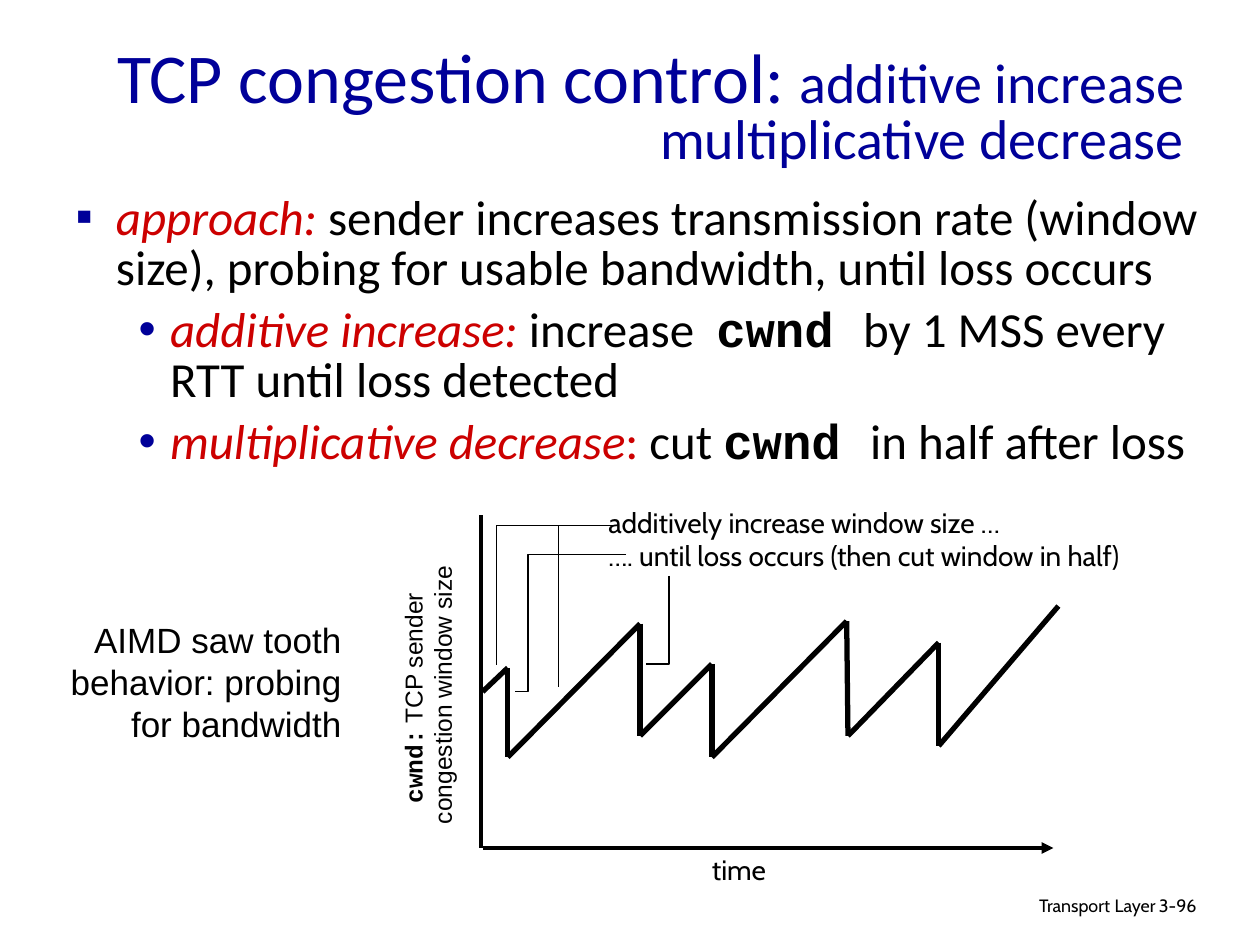
import pptx
import pptx.util
import pptx.dml.color
import pptx.enum.shapes
import pptx.enum.text
import lxml.etree
from dataclasses import dataclass
from pptx.oxml.ns import qn

Inches = pptx.util.Inches
Pt = pptx.util.Pt
Align = pptx.enum.text.PP_ALIGN
Anchor = pptx.enum.text.MSO_ANCHOR
Fit = pptx.enum.text.MSO_AUTO_SIZE
Kind = pptx.enum.shapes.MSO_SHAPE


@dataclass(frozen=True)
class Theme:
    ink: str = "000000"
    blue: str = "000099"
    red: str = "CC0000"
    paper: str = "FFFFFF"
    sans: str = "Calibri"
    plain: str = "Arial"
    note: str = "Cabin"
    code: str = "Courier New"
    title: float = 40
    subtitle: float = 32
    body: float = 28
    aside: float = 20
    label: float = 16
    axis: float = 14
    foot: float = 10.2
    gap: float = 11.9


THEME = Theme()


@dataclass(frozen=True)
class Run:
    text: str
    font: str | None = None
    size: float | None = None
    color: str | None = None
    bold: bool = False
    italic: bool = False


@dataclass(frozen=True)
class Label:
    box: tuple
    paras: list
    size: float
    font: str = THEME.note
    align: Align = Align.LEFT
    spacing: float = 1.0
    grow: bool = True


@dataclass(frozen=True)
class Bullet:
    runs: list
    level: int = 1
    mark: str = "•"
    margin: float = 0.75
    indent: float = -0.25


def rgb(code: str):
    return pptx.dml.color.RGBColor.from_string(code)


def place(shape, box: tuple) -> None:
    shape.left, shape.top, shape.width, shape.height = map(Inches, box)


def write(frame, paras: list, *, font: str, size: float, color: str = THEME.ink,
          align=Align.LEFT, spacing: float = 1.0, before: float = 0,
          anchor=Anchor.TOP, wrap: bool = True, fit=Fit.NONE) -> None:
    """Fill a frame; each paragraph is a string or a list of runs."""
    frame.word_wrap, frame.auto_size = wrap, fit
    frame.vertical_anchor = anchor
    for i, para in enumerate(paras):
        line = frame.add_paragraph() if i else frame.paragraphs[0]
        line.alignment, line.line_spacing = align, spacing
        line.space_before = Pt(before if i else 0)
        for part in [Run(para)] if isinstance(para, str) else para:
            run = line.add_run()
            run.text = part.text
            run.font.name = part.font or font
            run.font.size = Pt(part.size or size)
            run.font.color.rgb = rgb(part.color or color)
            run.font.bold, run.font.italic = part.bold, part.italic


def mark(line, item: Bullet) -> None:
    line.level = item.level
    props = line._p.get_or_add_pPr()
    props.set("marL", str(Inches(item.margin)))
    props.set("indent", str(Inches(item.indent)))
    tint = lxml.etree.SubElement(props, qn("a:buClr"))
    lxml.etree.SubElement(tint, qn("a:srgbClr"), val=THEME.blue)
    lxml.etree.SubElement(props, qn("a:buFont"), typeface=THEME.plain)
    lxml.etree.SubElement(props, qn("a:buChar"), char=item.mark)


def label(slide, item: Label) -> None:
    box = slide.shapes.add_textbox(*map(Inches, item.box))
    write(box.text_frame, item.paras, font=item.font, size=item.size,
          align=item.align, spacing=item.spacing, wrap=not item.grow,
          fit=Fit.SHAPE_TO_FIT_TEXT if item.grow else Fit.NONE)


def stroke(slide, start: tuple, end: tuple, width: float, arrow: bool = False) -> None:
    line = slide.shapes.add_connector(
        pptx.enum.shapes.MSO_CONNECTOR.STRAIGHT, *map(Inches, start + end))
    line.line.color.rgb = rgb(THEME.ink)
    line.line.width = Pt(width)
    if arrow:
        lxml.etree.SubElement(line.line._get_or_add_ln(), qn("a:tailEnd"), type="triangle")
    lxml.etree.SubElement(line._element.spPr, qn("a:effectLst"))


def leader(slide, points: list) -> None:
    first, *rest = [tuple(map(Inches, point)) for point in points]
    maker = slide.shapes.build_freeform(*first, scale=1.0)
    maker.add_line_segments(rest, close=False)
    shape = maker.convert_to_shape()
    shape.shadow.inherit = False
    shape.fill.background()
    shape.line.color.rgb = rgb(THEME.ink)
    shape.line.width = Pt(0.75)


CWND = Run("cwnd ", font=THEME.code, bold=True)

BULLETS = [
    Bullet([Run("approach: ", color=THEME.red, italic=True),
            Run("sender increases transmission rate (window size), "
                "probing for usable bandwidth, until loss occurs")],
           level=0, mark="▪", margin=0.32, indent=-0.32),
    Bullet([Run("additive increase:", color=THEME.red, italic=True),
            Run(" increase  "), CWND, Run("by 1 MSS every RTT until loss detected")]),
    Bullet([Run("multiplicative decrease", color=THEME.red, italic=True),
            Run(":", color=THEME.red), Run(" cut "), CWND, Run("in half after loss")]),
]

LABELS = [
    Label((6.1, 7.05, 3.17, 0.31),
          [[Run("Transport"), Run(" ", size=THEME.gap), Run("Layer")]],
          THEME.foot, align=Align.RIGHT, spacing=0.9, grow=False),
    Label((9.1, 7.07, 0.74, 0.3), ["3-96"], THEME.foot, spacing=0.9, grow=False),
    Label((0.46, 4.86, 2.35, 1.1), ["AIMD saw tooth", "behavior: probing", "for bandwidth"],
          THEME.aside, font=THEME.plain, align=Align.RIGHT),
    Label((4.73, 3.96, 4.78, 0.64),
          ["additively increase window size …",
           "…. until loss occurs (then cut window in half)"], THEME.label),
    Label((5.53, 6.72, 0.67, 0.37), ["time"], THEME.label, align=Align.CENTER),
]

# Window size over time: climbs and drops in turn
SAW = [(3.83, 5.49), (4.03, 5.3), (4.03, 6.01), (5.08, 4.95), (5.08, 5.84), (5.65, 5.27),
       (5.65, 6.01), (6.72, 4.93), (6.73, 5.84), (7.45, 5.1), (7.45, 5.92), (8.4, 4.81)]

LEADERS = [
    [(4.88, 4.17), (3.94, 4.17), (3.94, 5.28)],
    [(4.97, 4.4), (4.19, 4.4), (4.19, 5.49), (4.09, 5.49)],
    [(4.88, 4.17), (4.43, 4.17), (4.43, 5.45)],
    [(5.31, 4.57), (5.31, 5.27), (5.13, 5.27)],
]


def main() -> None:
    deck = pptx.Presentation()
    deck.slide_width, deck.slide_height = Inches(10), Inches(7.5)
    slide = deck.slides.add_slide(deck.slide_layouts[1])

    # Title
    title, body = slide.shapes.title, slide.placeholders[1]
    place(title, (0.25, 0.25, 9.25, 1.25))
    write(title.text_frame,
          [[Run("TCP congestion control: "),
            Run("additive increase multiplicative decrease", size=THEME.subtitle)]],
          font=THEME.sans, size=THEME.title, color=THEME.blue,
          align=Align.RIGHT, spacing=0.8, anchor=Anchor.MIDDLE)

    # Bullet list
    place(body, (0.5, 1.5, 9.16, 1.58))
    write(body.text_frame, [item.runs for item in BULLETS],
          font=THEME.sans, size=THEME.body, spacing=0.85, before=7)
    for line, item in zip(body.text_frame.paragraphs, BULLETS):
        mark(line, item)

    # Upright axis label
    axis = slide.shapes.add_shape(Kind.RECTANGLE, *map(Inches, (2.27, 5.23, 2.25, 0.57)))
    axis.rotation = 270
    axis.shadow.inherit = False
    axis.fill.solid()
    axis.fill.fore_color.rgb = rgb(THEME.paper)
    axis.line.fill.background()
    write(axis.text_frame,
          [[Run("cwnd:", font=THEME.code, bold=True), Run(" TCP sender ")],
           "congestion window size"],
          font=THEME.plain, size=THEME.axis, align=Align.CENTER,
          wrap=False, fit=Fit.SHAPE_TO_FIT_TEXT)

    # Axes and saw tooth
    stroke(slide, (3.83, 6.73), (8.36, 6.73), 2.25, arrow=True)
    stroke(slide, (3.82, 4.09), (3.82, 6.73), 2.25)
    for start, end in zip(SAW, SAW[1:]):
        stroke(slide, start, end, 3)

    # Labels and their leader lines
    for item in LABELS:
        label(slide, item)
    for points in LEADERS:
        leader(slide, points)

    deck.save("out.pptx")


if __name__ == "__main__":
    main()
